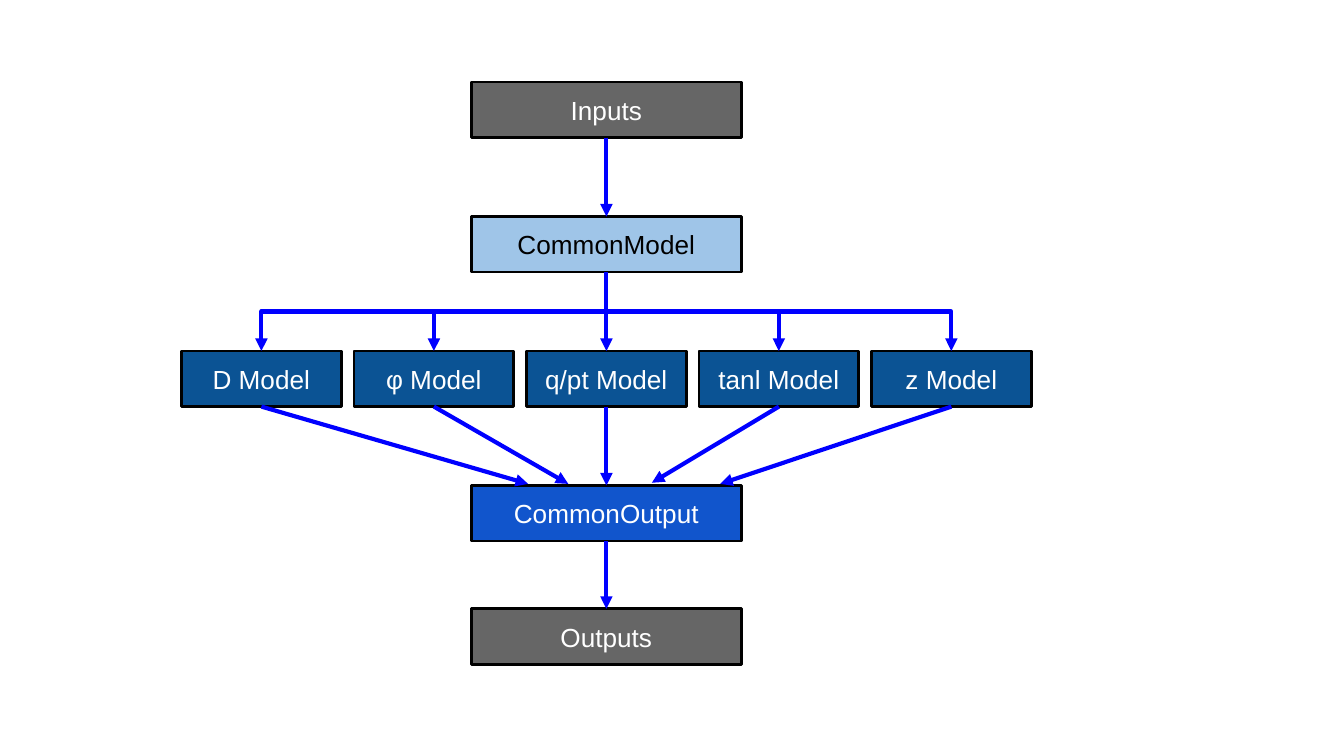
from dataclasses import dataclass

from lxml.etree import SubElement
from pptx import Presentation
from pptx.dml.color import RGBColor
from pptx.enum.shapes import MSO_CONNECTOR as Link, MSO_SHAPE as Shape
from pptx.enum.text import MSO_ANCHOR as Anchor, PP_ALIGN as Align
from pptx.oxml.ns import qn
from pptx.util import Cm, Pt


@dataclass(frozen=True)
class Theme:
    font: str = "Arial"
    size: float = 14
    light: str = "FFFFFF"
    dark: str = "000000"
    grey: str = "666666"
    pale: str = "9FC5E8"
    navy: str = "0B5394"
    blue: str = "1155CC"
    arrow: str = "0000FF"
    border_pt: float = 1.5
    arrow_pt: float = 2.25


@dataclass(frozen=True)
class Box:
    """A labelled box; lengths in cm, x is its centre."""
    label: str
    x: float
    top: float
    width: float
    fill: str
    color: str

    @property
    def foot(self) -> tuple[float, float]:
        return self.x, self.top + BOX_H

    @property
    def head(self) -> tuple[float, float]:
        return self.x, self.top


THEME = Theme()
BOX_H, WIDE, NARROW = 1.05, 5.11, 3.02
CENTRE, PITCH = 11.46, 3.26
FIRST_TOP, ROW_STEP = 1.55, 2.54
INSET = 0.25
MODELS = ["D Model", "φ Model", "q/pt Model", "tanl Model", "z Model"]
MERGE_POINTS = [(9.98, 9.14), (10.74, 9.14), (CENTRE, 9.17), (12.32, 9.12), (13.61, 9.14)]


def row_top(row: int) -> float:
    return FIRST_TOP + row * ROW_STEP


def add_box(slide, box: Box) -> None:
    sp = slide.shapes.add_shape(Shape.RECTANGLE, Cm(box.x - box.width / 2), Cm(box.top),
                                Cm(box.width), Cm(BOX_H))
    sp.shadow.inherit = False
    sp.fill.solid()
    sp.fill.fore_color.rgb = RGBColor.from_string(box.fill)
    sp.line.color.rgb = RGBColor.from_string(THEME.dark)
    sp.line.width = Pt(THEME.border_pt)
    tf = sp.text_frame
    tf.word_wrap = True
    tf.vertical_anchor = Anchor.MIDDLE
    tf.margin_left = tf.margin_right = tf.margin_top = tf.margin_bottom = Cm(INSET)
    p = tf.paragraphs[0]
    p.text = box.label
    p.alignment = Align.CENTER
    p.font.name = THEME.font
    p.font.size = Pt(THEME.size)
    p.font.color.rgb = RGBColor.from_string(box.color)


def add_arrow(slide, start: tuple[float, float], end: tuple[float, float], kind=Link.STRAIGHT):
    cxn = slide.shapes.add_connector(kind, *map(Cm, start + end))
    cxn.line.color.rgb = RGBColor.from_string(THEME.arrow)
    cxn.line.width = Pt(THEME.arrow_pt)
    SubElement(cxn.line._get_or_add_ln(), qn("a:tailEnd"), type="triangle")
    SubElement(cxn._element.spPr, qn("a:effectLst"))
    return cxn


def add_branch(slide, start: tuple[float, float], end: tuple[float, float]) -> None:
    """Draw a down-across-down arrow: an elbow is horizontal first, so turn it a quarter."""
    (x1, y1), (x2, y2) = start, end
    mid_x, mid_y = (x1 + x2) / 2, (y1 + y2) / 2
    half_w, half_h = (y2 - y1) / 2, abs(x2 - x1) / 2
    side = 1 if x2 > x1 else -1
    cxn = add_arrow(slide, (mid_x + side * half_w, mid_y - half_h),
                    (mid_x - side * half_w, mid_y + half_h), Link.ELBOW)
    quarter_turns = 3 if side > 0 else 1
    cxn._element.spPr.xfrm.set("rot", str(quarter_turns * 90 * 60000))


def main() -> None:
    prs = Presentation()
    prs.slide_width, prs.slide_height = Cm(25.4), Cm(14.28)
    s = prs.slides.add_slide(prs.slide_layouts[6])

    inputs = Box("Inputs", CENTRE, row_top(0), WIDE, THEME.grey, THEME.light)
    common = Box("CommonModel", CENTRE, row_top(1), WIDE, THEME.pale, THEME.dark)
    models = [Box(label, CENTRE + (i - len(MODELS) // 2) * PITCH, row_top(2), NARROW,
                  THEME.navy, THEME.light) for i, label in enumerate(MODELS)]
    merged = Box("CommonOutput", CENTRE, row_top(3), WIDE, THEME.blue, THEME.light)
    outputs = Box("Outputs", CENTRE, 11.5, WIDE, THEME.grey, THEME.light)

    for box in [*models, common, inputs, merged, outputs]:
        add_box(s, box)

    for model, merge_point in zip(models, MERGE_POINTS):
        draw = add_arrow if model.x == common.x else add_branch
        draw(s, common.foot, model.head)
        add_arrow(s, model.foot, merge_point)
    add_arrow(s, inputs.foot, common.head)
    add_arrow(s, merged.foot, outputs.head)

    prs.save("out.pptx")


if __name__ == "__main__":
    main()
